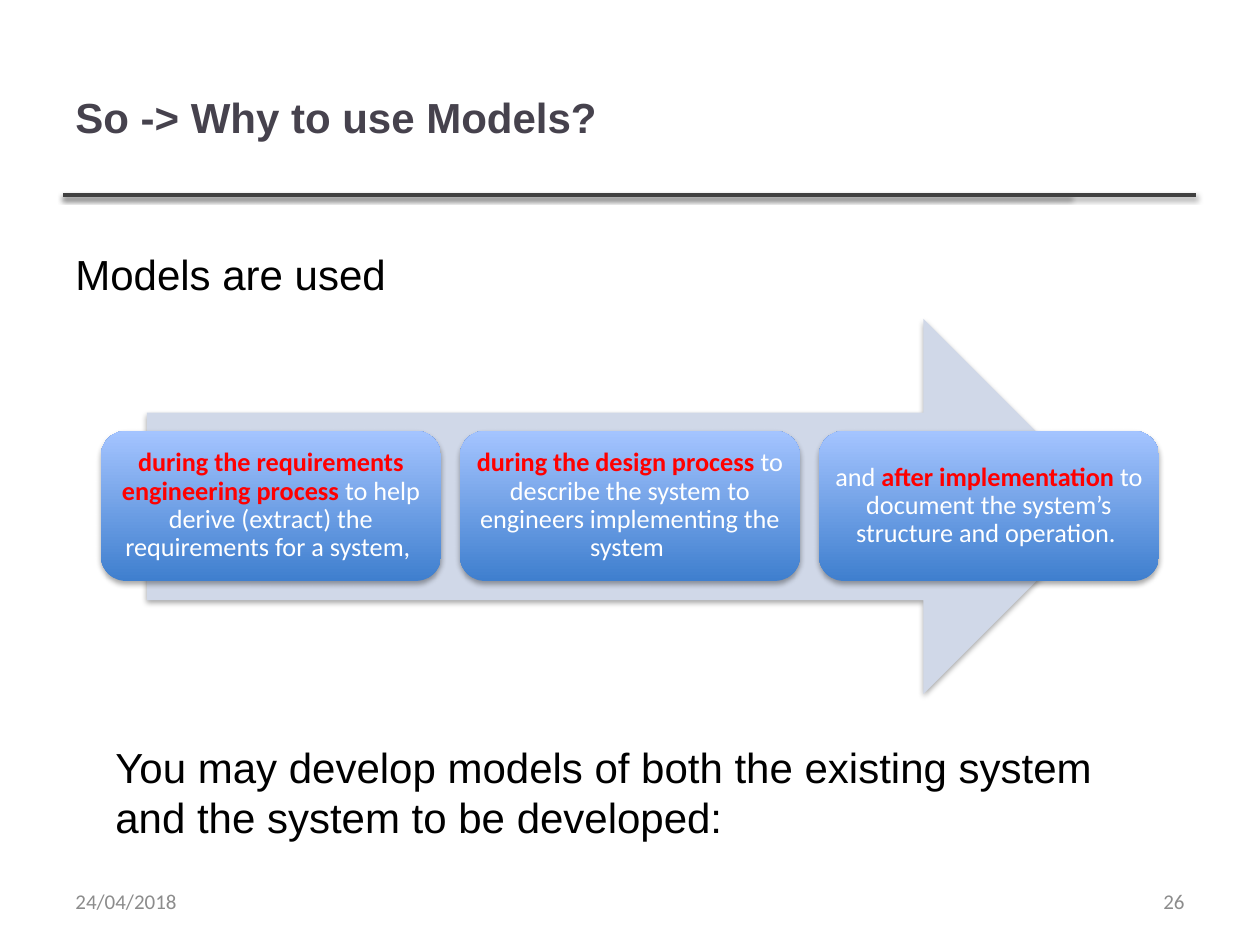
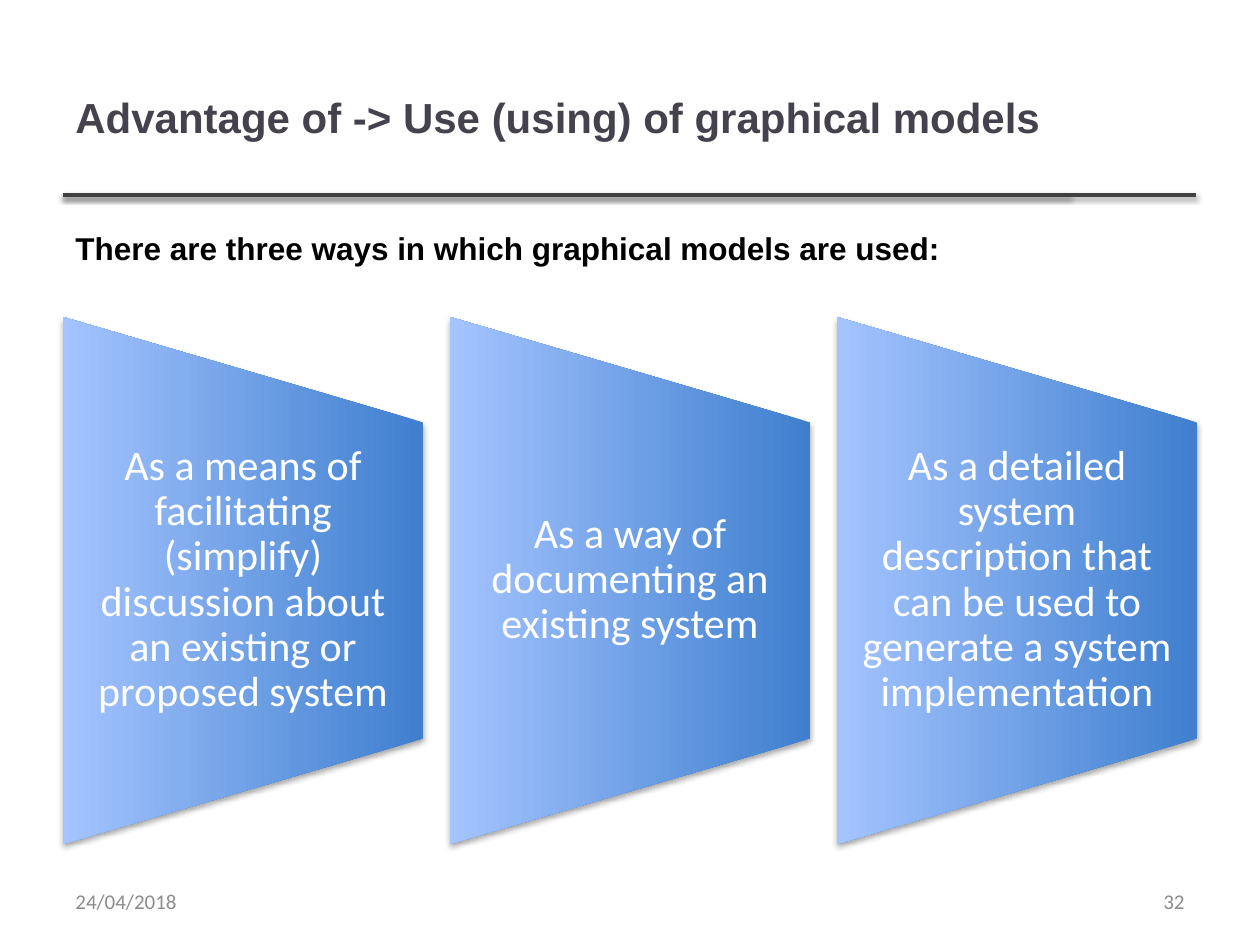
from dataclasses import dataclass

from lxml.etree import SubElement
from pptx import Presentation
from pptx.dml.color import RGBColor
from pptx.enum.shapes import MSO_CONNECTOR, MSO_SHAPE
from pptx.enum.text import MSO_ANCHOR, PP_ALIGN
from pptx.oxml.ns import qn
from pptx.util import Pt

PX = 914400 / 126


@dataclass(frozen=True)
class Theme:
    heading: str = "Arial"
    body: str = "Calibri"
    title: str = "46424D"
    rule: str = "404040"
    text: str = "000000"
    footer: str = "8C8C8C"
    arrow: str = "D0D8E8"
    dark: str = "3F7FCE"
    light: str = "A4C4FF"
    white: str = "FFFFFF"
    accent: str = "FF0000"
    large: int = 24
    lead: int = 18
    step: int = 15
    small: int = 12


T = Theme()

DATE = "24/04/2018"
STAGES = {
    "number": "26",
    "title": "So -> Why to use Models?",
    "lead": "Models are used",
    "steps": [
        [("during the requirements engineering process ", True),
         ("to help derive (extract) the requirements for a system, ", False)],
        [("during the design process ", True),
         ("to describe the system to engineers implementing the system ", False)],
        [("and ", False), ("after implementation ", True),
         ("to document the system’s structure and operation. ", False)],
    ],
    "closing": "You may develop models of both the existing system and the system to be developed:",
}
USES = {
    "number": "32",
    "title": "Advantage of -> Use (using) of graphical models",
    "lead": "There are three ways in which graphical models are used:",
    "ways": [
        "As a means of facilitating (simplify) discussion about an existing or proposed system",
        "As a way of documenting an existing system",
        "As a detailed system description that can be used to generate a system implementation",
    ],
}


def px(*values):
    return [round(v * PX) for v in values]


def rgb(color):
    return RGBColor.from_string(color)


def spread(left, right, width, count):
    pitch = (right - left - width) / (count - 1)
    return [left + i * pitch for i in range(count)]


def add_shadow(sp, alpha, distance):
    effects = SubElement(sp._element.spPr, qn("a:effectLst"))
    outer = SubElement(effects, qn("a:outerShdw"), blurRad="40000",
                       dist=str(distance), dir="5400000", rotWithShape="0")
    color = SubElement(outer, qn("a:srgbClr"), val="000000")
    SubElement(color, qn("a:alpha"), val=str(alpha * 1000))


def add_block(s, kind, box, fill=None):
    sp = s.shapes.add_shape(kind, *px(*box))
    if fill:
        sp.fill.solid()
        sp.fill.fore_color.rgb = rgb(fill)
    else:
        sp.fill.gradient()
        sp.fill.gradient_angle = 90
        for stop, color in zip(sp.fill.gradient_stops, (T.dark, T.light)):
            stop.color.rgb = rgb(color)
    sp.line.fill.background()
    add_shadow(sp, 35, 23000)
    return sp


def style(font, name, size, color, bold=False):
    font.name, font.size, font.bold = name, Pt(size), bold
    font.color.rgb = rgb(color)


def add_text(s, box, text, name, size, color, bold=False, wrap=True,
             anchor=MSO_ANCHOR.TOP, align=PP_ALIGN.LEFT):
    tf = s.shapes.add_textbox(*px(*box)).text_frame
    tf.word_wrap = wrap
    tf.vertical_anchor = anchor
    p = tf.paragraphs[0]
    p.text = text
    p.alignment = align
    style(p.font, name, size, color, bold)
    return tf


def add_slide(prs, content):
    s = prs.slides.add_slide(prs.slide_layouts[6])
    for end in (1070, 1196):
        rule = s.shapes.add_connector(MSO_CONNECTOR.STRAIGHT, *px(63, 195, end, 195))
        rule.line.color.rgb = rgb(T.rule)
        rule.line.width = Pt(2)
        add_shadow(rule, 38, 20000)
    add_text(s, (63, 38, 1006, 158), content["title"], T.heading, T.large, T.title,
             bold=True, anchor=MSO_ANCHOR.MIDDLE)
    for left, text, align in ((63, DATE, PP_ALIGN.LEFT),
                              (903, content["number"], PP_ALIGN.RIGHT)):
        add_text(s, (left, 876, 294, 50), text, T.body, T.small, T.footer,
                 anchor=MSO_ANCHOR.MIDDLE, align=align)
    return s


def add_stages(prs, content):
    s = add_slide(prs, content)
    add_text(s, (63, 242, 339, 63), content["lead"], T.heading, T.large, T.text, wrap=False)
    add_block(s, MSO_SHAPE.RIGHT_ARROW, (147, 319, 964, 375), T.arrow)
    width, steps = 340, content["steps"]
    for left, runs in zip(spread(101, 1159, width, len(steps)), steps):
        sp = add_block(s, MSO_SHAPE.ROUNDED_RECTANGLE, (left, 431, width, 150))
        tf = sp.text_frame
        tf.word_wrap = True
        tf.vertical_anchor = MSO_ANCHOR.MIDDLE
        tf.margin_left = tf.margin_right = tf.margin_top = tf.margin_bottom = px(8)[0]
        p = tf.paragraphs[0]
        p.alignment = PP_ALIGN.CENTER
        p.line_spacing = 0.9
        for text, stressed in runs:
            r = p.add_run()
            r.text = text
            style(r.font, T.body, T.step, T.accent if stressed else T.white, stressed)
    add_text(s, (103, 735, 1045, 115), content["closing"], T.heading, T.large, T.text)


def add_uses(prs, content):
    s = add_slide(prs, content)
    add_text(s, (63, 223, 1103, 50), content["lead"], T.heading, T.lead, T.text, bold=True)
    width, height, top, ways = 360, 527, 317, content["ways"]
    shift = (height - width) / 2
    for left, text in zip(spread(63, 1197, width, len(ways)), ways):
        sp = add_block(s, MSO_SHAPE.FLOWCHART_MANUAL_OPERATION,
                       (left - shift, top + shift, height, width))
        sp.rotation = 270
        tf = add_text(s, (left, 422, width, 316), text, T.body, T.large, T.white,
                      anchor=MSO_ANCHOR.MIDDLE, align=PP_ALIGN.CENTER)
        tf.margin_left = tf.margin_right = px(21)[0]
        tf.margin_top = tf.margin_bottom = 0
        tf.paragraphs[0].line_spacing = 0.9


def main():
    prs = Presentation()
    prs.slide_width, prs.slide_height = px(1260, 945)
    add_stages(prs, STAGES)
    add_uses(prs, USES)
    prs.save("out.pptx")


if __name__ == "__main__":
    main()
